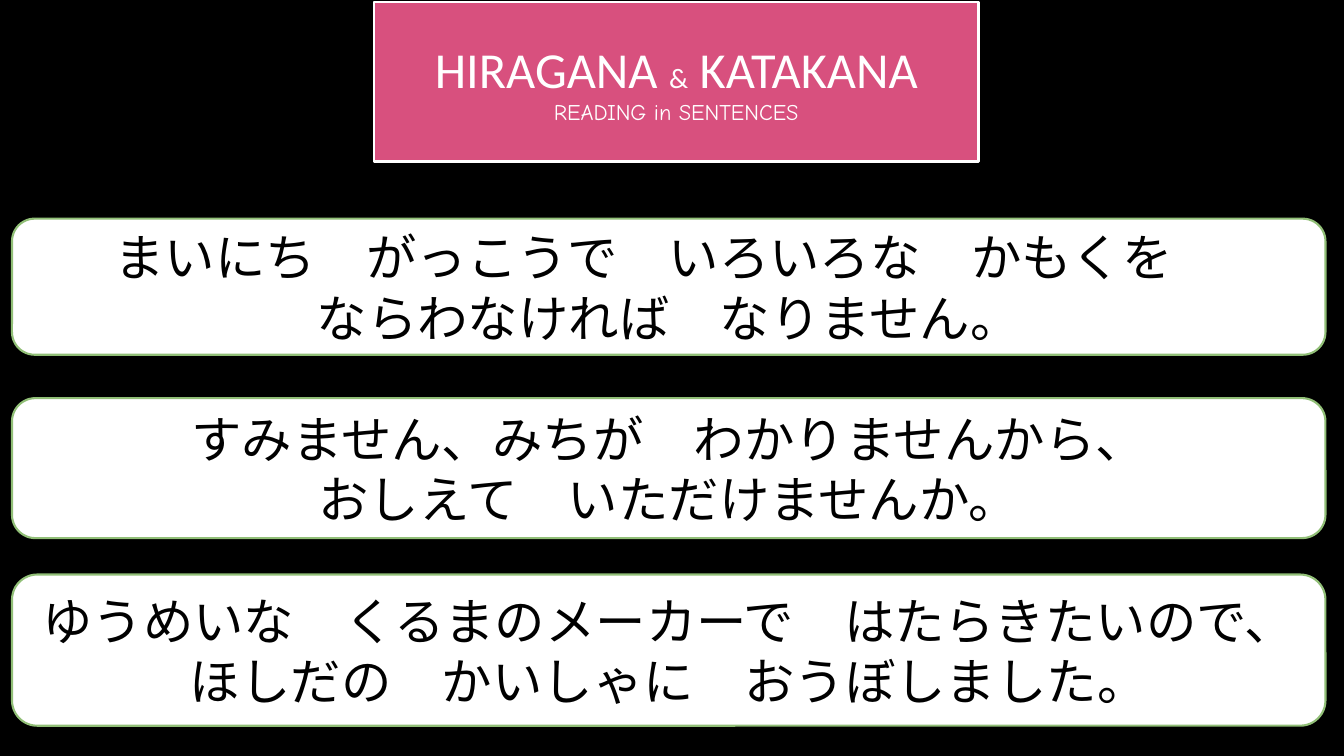
from lxml import etree
from pptx import Presentation
from pptx import util as u
from pptx.dml import color
from pptx.enum import shapes, text
from pptx.oxml import ns

COLORS = {"black": "000000", "white": "FFFFFF", "pink": "D8507E", "green": "91BF77"}
SENTENCES = [
    (156.2, 97.2, ["まいにち　がっこうで　いろいろな　かもくを　", "ならわなければ　なりません。"]),
    (284.4, 100, ["すみません、みちが　わかりませんから、", "おしえて　いただけませんか。"]),
    (410.4, 108, ["ゆうめいな　くるまのメーカーで　はたらきたいので、ほしだの　かいしゃに　おうぼしました。"]),
]


def rgb(name):
    return color.RGBColor.from_string(COLORS[name])


def paint(sp, fill, line, width):
    sp.fill.solid()
    sp.fill.fore_color.rgb = rgb(fill)
    sp.line.color.rgb = rgb(line)
    sp.line.width = u.Pt(width)
    sp.text_frame.word_wrap = True
    sp.text_frame.vertical_anchor = text.MSO_ANCHOR.MIDDLE


def format_paragraph(p, font, size, ink):
    p.alignment = text.PP_ALIGN.CENTER
    p.font.name = font
    p.font.size = u.Pt(size)
    p.font.color.rgb = rgb(ink)


def add_title(s):
    sp = s.shapes.title
    sp.left, sp.top, sp.width, sp.height = (u.Pt(v) for v in (267.1, 1.4, 432, 113.8))
    geom = etree.SubElement(sp._element.spPr, ns.qn("a:prstGeom"), prst="roundRect")
    etree.SubElement(geom, ns.qn("a:avLst"))
    paint(sp, "pink", "white", 2)
    tf = sp.text_frame
    tf.auto_size = text.MSO_AUTO_SIZE.NONE
    p = tf.paragraphs[0]
    format_paragraph(p, "Calibri", 36, "white")
    for words, size in (("HIRAGANA ", 36), ("&", 20), (" KATAKANA", 36)):
        r = p.add_run()
        r.text = words
        r.font.size = u.Pt(size)
    p = tf.add_paragraph()
    p.text = "READING in SENTENCES"
    format_paragraph(p, "Comic Neue", 16, "white")


def add_sentence(s, top, height, lines):
    sp = s.shapes.add_shape(
        shapes.MSO_SHAPE.ROUNDED_RECTANGLE, u.Pt(8.6), u.Pt(top), u.Pt(938.2), u.Pt(height))
    sp.shadow.inherit = False
    paint(sp, "white", "green", 1.5)
    tf = sp.text_frame
    tf.text = "\n".join(lines)
    for p in tf.paragraphs:
        format_paragraph(p, "Lato", 36, "black")


def main():
    prs = Presentation()
    prs.slide_width, prs.slide_height = u.Pt(960), u.Pt(540)
    s = prs.slides.add_slide(prs.slide_layouts[5])
    s.background.fill.solid()
    s.background.fill.fore_color.rgb = rgb("black")
    add_title(s)
    for top, height, lines in SENTENCES:
        add_sentence(s, top, height, lines)
    prs.save("out.pptx")


if __name__ == "__main__":
    main()
